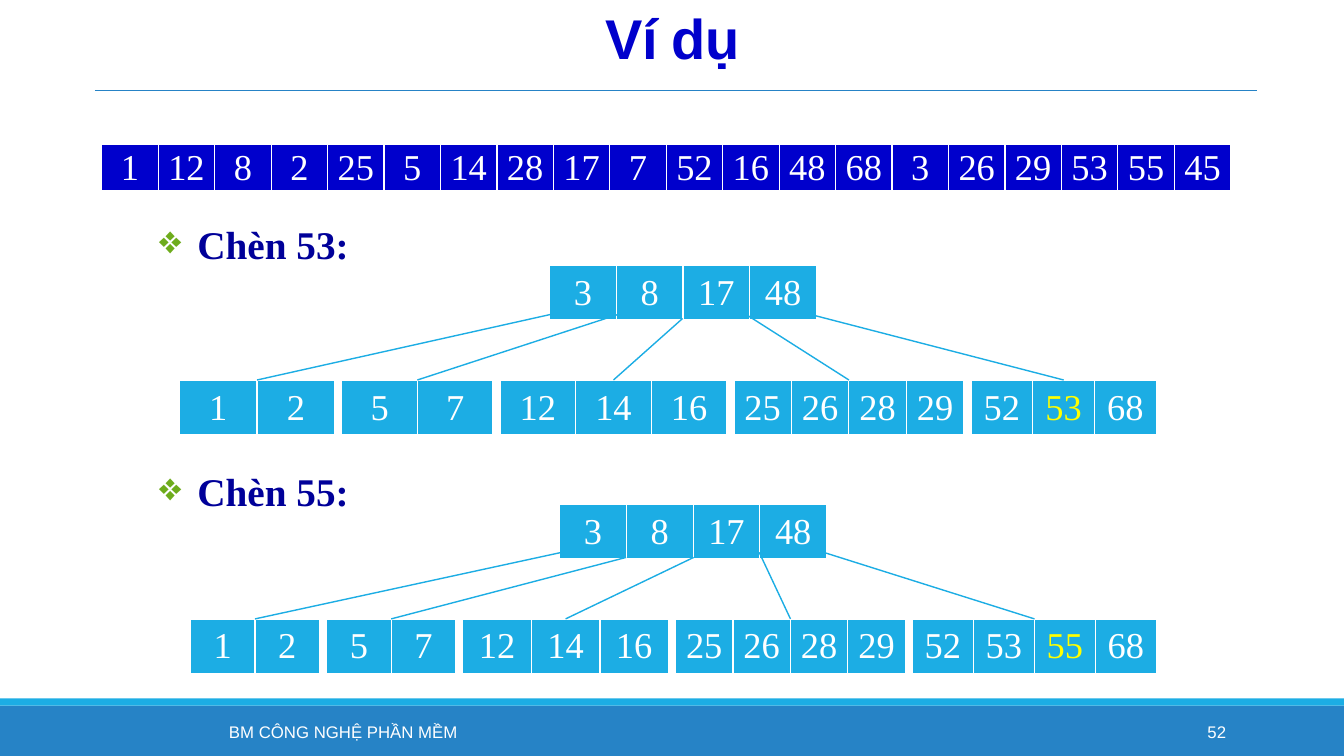
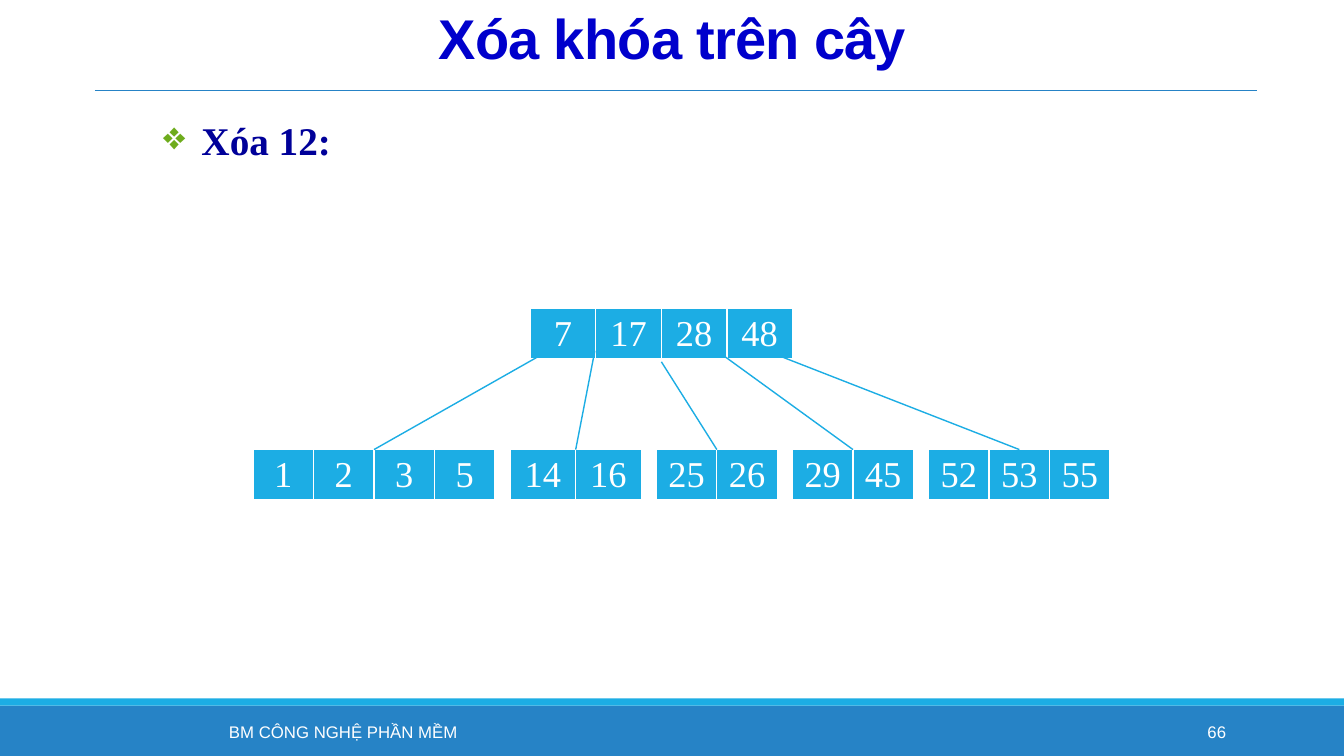
from lxml import etree
from pptx import Presentation
from pptx.dml.color import RGBColor
from pptx.enum import shapes, text
from pptx.oxml import ns
from pptx.util import Inches, Pt

WHITE = RGBColor(0xFF, 0xFF, 0xFF)
YELLOW = RGBColor(0xFF, 0xFF, 0x00)
CYAN = RGBColor(0x1C, 0xAD, 0xE4)
BLUE = RGBColor(0x26, 0x83, 0xC6)
TITLE_BLUE = RGBColor(0x00, 0x00, 0xCC)
NAVY = RGBColor(0x00, 0x00, 0x99)
GREEN = RGBColor(0x6E, 0xAC, 0x1C)
SANS, SERIF = "Arial", "Times New Roman"
BORDERS = (("lnL", 1), ("lnR", 1), ("lnT", 1), ("lnB", 3))
FOOTER = "BM CÔNG NGHỆ PHẦN MỀM"
CENTER, RIGHT = text.PP_ALIGN.CENTER, text.PP_ALIGN.RIGHT


def add_run(p, words, size, font, color, bold=False):
    r = p.add_run()
    r.text = words
    r.font.size, r.font.name, r.font.bold = Pt(size), font, bold
    r.font.color.rgb = color
    return r


def add_box(s, left, top, width, height):
    sp = s.shapes.add_textbox(Inches(left), Inches(top), Inches(width), Inches(height))
    tf = sp.text_frame
    tf.word_wrap = True
    tf.vertical_anchor = text.MSO_ANCHOR.MIDDLE
    return tf.paragraphs[0]


def add_line(s, x1, y1, x2, y2, color, width):
    ln = s.shapes.add_connector(shapes.MSO_CONNECTOR.STRAIGHT,
                                Inches(x1), Inches(y1), Inches(x2), Inches(y2))
    ln.line.color.rgb, ln.line.width = color, Pt(width)
    etree.SubElement(ln._element.spPr, ns.qn("a:effectLst"))


def add_band(s, top, height, color):
    sp = s.shapes.add_shape(shapes.MSO_SHAPE.RECTANGLE, 0, Inches(top),
                            Inches(13.33), Inches(height))
    sp.shadow.inherit = False
    sp.fill.solid()
    sp.fill.fore_color.rgb = color
    sp.line.fill.background()


def add_frame(prs, title, number):
    s = prs.slides.add_slide(prs.slide_layouts[6])
    add_band(s, 7, 0.5, BLUE)
    add_band(s, 6.93, 0.07, CYAN)
    add_line(s, 0.94, 0.9, 12.47, 0.9, BLUE, 0.5)
    p = add_box(s, 0.85, 0.04, 11.64, 0.77)
    p.alignment, p.line_spacing = CENTER, 0.85
    r = add_run(p, title, 40, SANS, TITLE_BLUE, True)
    r.font._element.set("spc", "-50")
    for words, left, width, align in ((FOOTER, 1.2, 4.41, CENTER),
                                      (str(number), 10.83, 1.43, RIGHT)):
        p = add_box(s, left, 7.06, width, 0.4)
        p.alignment = align
        add_run(p, words, 12, SANS, WHITE)
    return s


def add_heading(s, left, top, words):
    p = add_box(s, left, top, 10.38, 0.53)
    p.line_spacing = 0.9
    pPr = p._p.get_or_add_pPr()
    pPr.set("marL", str(Inches(0.38)))
    pPr.set("indent", str(-Inches(0.38)))
    color = etree.SubElement(pPr, ns.qn("a:buClr"))
    etree.SubElement(color, ns.qn("a:srgbClr"), val=str(GREEN))
    etree.SubElement(pPr, ns.qn("a:buChar"), char="❖")
    add_run(p, words, 28, SERIF, NAVY, True)


def add_borders(cell):
    tcPr = cell._tc.get_or_add_tcPr()
    for i, (side, width) in enumerate(BORDERS):
        ln = etree.Element(ns.qn("a:" + side), w=str(Pt(width)))
        fill = etree.SubElement(ln, ns.qn("a:solidFill"))
        etree.SubElement(fill, ns.qn("a:srgbClr"), val=str(WHITE))
        tcPr.insert(i, ln)


def add_keys(s, left, top, width, height, keys, color=CYAN, new_key=None):
    tbl = s.shapes.add_table(1, len(keys), Inches(left), Inches(top),
                             Inches(width), Inches(height)).table
    tbl.first_row = tbl.horz_banding = False
    for col, cell, key in zip(tbl.columns, tbl.rows[0].cells, keys):
        col.width = Inches(width / len(keys))
        cell.margin_left = cell.margin_right = Inches(0.06)
        cell.margin_top = cell.margin_bottom = 0
        cell.vertical_anchor = text.MSO_ANCHOR.MIDDLE
        cell.fill.solid()
        cell.fill.fore_color.rgb = color
        add_borders(cell)
        p = cell.text_frame.paragraphs[0]
        p.alignment = CENTER
        add_run(p, str(key), 26, SERIF, YELLOW if key == new_key else WHITE)


def add_tree(s, left, top, root, root_dx, root_width, leaves, starts,
             drop=1.14, gap=0.07, height=0.55, new_key=None):
    root_left = left + root_dx
    add_keys(s, root_left, top, root_width, height, root)
    x = left
    for (keys, width), (dx, dy) in zip(leaves, starts):
        add_keys(s, x, top + drop, width, height, keys, new_key=new_key)
        add_line(s, root_left + dx, top + dy, x + width / 2, top + drop, CYAN, 1)
        x += width + gap


def add_insert_slide(prs):
    s = add_frame(prs, "Ví dụ", 52)
    add_keys(s, 1.01, 1.43, 11.2, 0.47,
             [1, 12, 8, 2, 25, 5, 14, 28, 17, 7, 52, 16, 48, 68, 3, 26, 29, 53, 55, 45],
             TITLE_BLUE)
    root = [3, 8, 17, 48]
    add_heading(s, 1.48, 2.18, "Chèn 53:")
    add_tree(s, 1.78, 2.63, root, 3.67, 2.65,
             [([1, 2], 1.54), ([5, 7], 1.5), ([12, 14, 16], 2.25),
              ([25, 26, 28, 29], 2.28), ([52, 53, 68], 1.84)],
             [(0.01, 0.49), (0.68, 0.49), (1.32, 0.53), (1.95, 0.49), (2.59, 0.49)],
             new_key=53)
    add_heading(s, 1.48, 4.63, "Chèn 55:")
    add_tree(s, 1.89, 5, root, 3.66, 2.65,
             [([1, 2], 1.28), ([5, 7], 1.28), ([12, 14, 16], 2.04),
              ([25, 26, 28, 29], 2.28), ([52, 53, 55, 68], 2.42)],
             [(0.02, 0.48), (0.66, 0.53), (1.33, 0.53), (1.98, 0.48), (2.62, 0.48)],
             new_key=55)


def add_delete_slide(prs):
    s = add_frame(prs, "Xóa khóa trên cây", 66)
    add_heading(s, 1.52, 1.15, "Xóa 12:")
    add_tree(s, 2.51, 3.06, [7, 17, 28, 48], 2.75, 2.6,
             [([1, 2, 3, 5], 2.4), ([14, 16], 1.3), ([25, 26], 1.2),
              ([29, 45], 1.2), ([52, 53, 55], 1.8)],
             [(0.18, 0.42), (0.64, 0.42), (1.3, 0.53), (1.85, 0.42), (2.34, 0.42)],
             drop=1.4, gap=0.15, height=0.51)


def main():
    prs = Presentation()
    prs.slide_width, prs.slide_height = Inches(13.33), Inches(7.5)
    add_insert_slide(prs)
    add_delete_slide(prs)
    prs.save("out.pptx")


if __name__ == "__main__":
    main()
